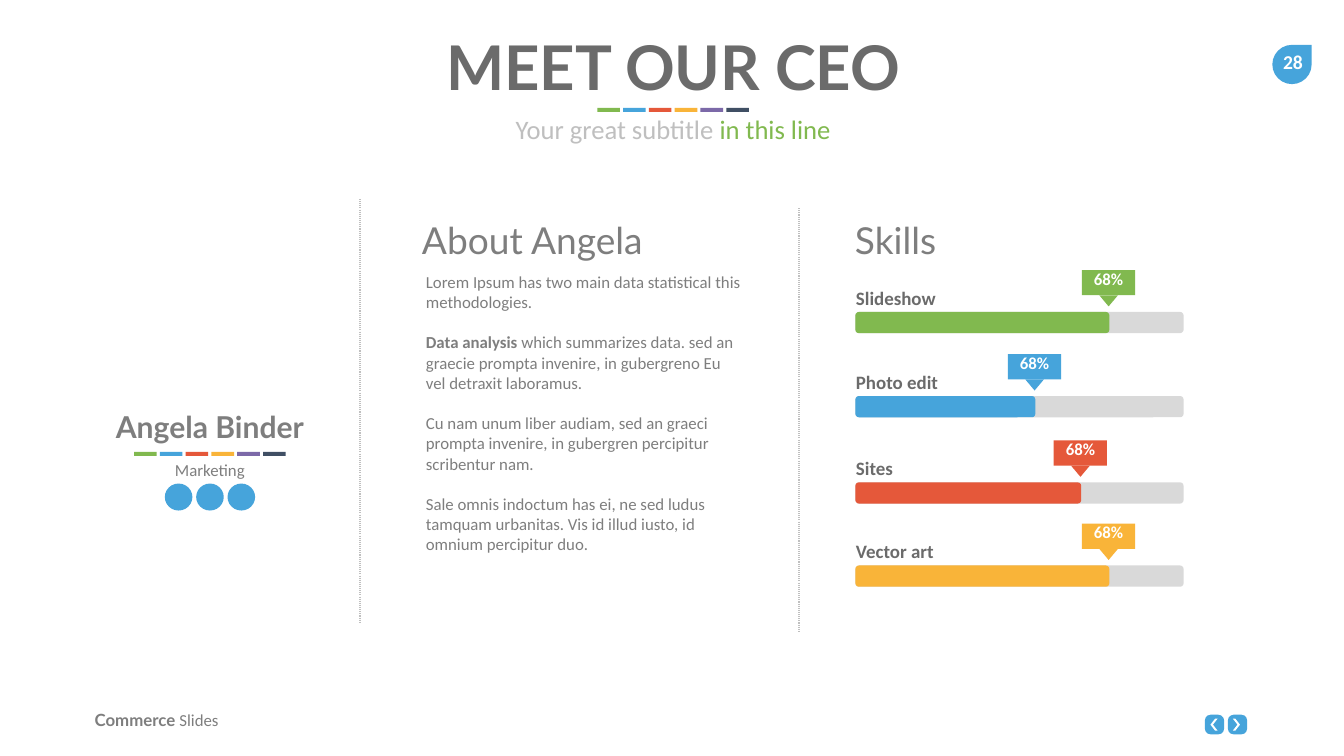
from collections import namedtuple

from lxml import etree
from pptx import Presentation
from pptx.dml.color import RGBColor
from pptx.enum.dml import MSO_LINE as Dash
from pptx.enum.shapes import MSO_CONNECTOR as Link, MSO_SHAPE as Shape
from pptx.enum.text import MSO_ANCHOR as Anchor, PP_ALIGN as Align
from pptx.oxml.ns import qn
from pptx.util import Cm, Pt

Box = namedtuple("Box", "left top width height")

COLORS = {
    "green": "81B94F", "blue": "46A4DB", "red": "E5583A", "yellow": "F9B439",
    "purple": "7C69A8", "navy": "404F64", "dark": "6B6B6B", "text": "7E7E7E",
    "pale": "BFBFBF", "track": "D9D9D9", "white": "FFFFFF",
}
STRIPE = ["green", "blue", "red", "yellow", "purple", "navy"]
SKILLS = [
    ("Slideshow", 15.72, 12.8, "green"),
    ("Photo edit", 19.96, 9.07, "blue"),
    ("Sites", 24.31, 11.38, "red"),
    ("Vector art", 28.5, 12.8, "yellow"),
]
ABOUT = [
    [("Lorem Ipsum has two main data statistical this methodologies.", {})],
    [("Data analysis ", {"bold": True}),
     ("which summarizes data. sed an graecie prompta invenire, "
      "in gubergreno Eu vel detraxit laboramus.", {})],
    [("Cu nam unum liber audiam, sed an graeci prompta invenire, "
      "in gubergren percipitur scribentur nam.", {})],
    [("Sale omnis indoctum has ei, ne sed ludus tamquam urbanitas. "
      "Vis id illud iusto, id omnium percipitur duo.", {})],
]
WIDE = {"margin_left": Cm(0.69), "margin_right": Cm(0.69),
        "margin_top": Cm(0.33), "margin_bottom": Cm(0.33)}


def apply(target, values):
    """Set every attribute in the dict on the target."""
    for name, value in values.items():
        setattr(target, name, value)


def rgb(name):
    """Return the named colour."""
    return RGBColor.from_string(COLORS[name])


def add_block(page, kind, box, color):
    """Add a filled preset shape without outline or shadow."""
    block = page.shapes.add_shape(kind, *map(Cm, box))
    block.shadow.inherit = False
    block.fill.solid()
    block.fill.fore_color.rgb = rgb(color)
    block.line.fill.background()
    return block


def add_text(page, box, paras, size, color="text", font="Calibri", bold=False,
             align=Align.LEFT, gap=0, frame=None):
    """Add a text box whose paragraphs are lists of (text, format) spans."""
    body = page.shapes.add_textbox(*map(Cm, box)).text_frame
    apply(body, {"word_wrap": True, **(frame or {})})
    for index, spans in enumerate(paras):
        para = body.add_paragraph() if index else body.paragraphs[0]
        para.alignment = align
        if index:
            para.space_before = Pt(gap)
        for text, changes in spans:
            span = para.add_run()
            span.text = text
            values = {"name": font, "size": Pt(size), "bold": bold, **changes}
            span.font.color.rgb = rgb(values.pop("color", color))
            apply(span.font, values)


def add_stripe(page, center, top):
    """Add the six-colour stripe centred on a position."""
    width, pitch = 1.14, 1.3
    left = center - (pitch * (len(STRIPE) - 1) + width) / 2
    for index, color in enumerate(STRIPE):
        add_block(page, Shape.RECTANGLE, Box(left + index * pitch, top, width, 0.2), color)


def add_heading(page, box):
    """Add the title, stripe and subtitle."""
    add_text(page, box._replace(height=4.01), [[("MEET OUR CEO", {})]], 88,
             "dark", "Lato", True, Align.CENTER)
    add_stripe(page, box.left + box.width / 2, box.top + 4.09)
    subtitle = [("Your great subtitle ", {}), ("in this line", {"color": "green"})]
    add_text(page, box._replace(top=box.top + 4.24, height=1.88), [subtitle], 38,
             "pale", align=Align.CENTER)


def add_page_number(page, box):
    """Add the page number on a teardrop."""
    add_block(page, Shape.TEAR, box, "blue")
    add_text(page, Box(box.left, box.top + 0.03, box.width + 0.1, 1.7), [[("28", {})]],
             28, "white", bold=True, align=Align.CENTER,
             frame={"word_wrap": False, "margin_top": Cm(0.25), "margin_bottom": Cm(0.25)})


def add_footer(page, box):
    """Add the deck name at the left and the arrow buttons at the right."""
    label = [("Commerce ", {"name": "Lato", "bold": True}), ("Slides", {})]
    add_text(page, Box(box.left, box.top, 10.16, box.height), [label], 24)
    right = box.left + box.width
    for offset, shift, turn in [(2.13, 0.28, 180), (0.97, 0.25, 0)]:
        button = Box(right - offset, box.top + 0.36, 0.97, 0.99)
        add_block(page, Shape.ROUNDED_RECTANGLE, button, "blue").adjustments[0] = 0.3
        arrow = add_block(page, Shape.CHEVRON,
                          Box(button.left + shift, button.top + 0.2, 0.36, 0.6), "white")
        arrow.adjustments[0] = 0.65
        arrow.rotation = turn


def add_divider(page, box):
    """Add a dotted vertical line."""
    line = page.shapes.add_connector(Link.STRAIGHT, Cm(box.left), Cm(box.top),
                                     Cm(box.left), Cm(box.top + box.height))
    etree.SubElement(line._element.spPr, qn("a:effectLst"))
    line.line.color.rgb = rgb("pale")
    apply(line.line, {"width": Pt(1.5), "dash_style": Dash.ROUND_DOT})


def add_profile(page, box):
    """Add the name, stripe, role and round contact marks."""
    center = box.left + box.width / 2
    add_text(page, box._replace(height=2.2), [[("Angela Binder", {})]], 43,
             font="Lato", bold=True, align=Align.CENTER)
    add_text(page, box._replace(top=box.top + 2.57, height=1.42), [[("Marketing", {})]],
             24, align=Align.CENTER)
    for index in range(3):
        left = center - 0.69 + (index - 1) * 1.58
        add_block(page, Shape.OVAL, Box(left, box.top + 3.9, 1.39, 1.36), "blue")
    add_stripe(page, center, box.top + 2.31)


def add_section_title(page, box, title):
    """Add a large section title."""
    add_text(page, box, [[(title, {})]], 53, font="Lato",
             frame={**WIDE, "vertical_anchor": Anchor.MIDDLE})


def add_about(page, box):
    """Add the section about the person."""
    add_section_title(page, box._replace(height=2.97), "About Angela")
    add_text(page, Box(box.left + 0.64, box.top + 2.97, 16.51, box.height - 2.97),
             ABOUT, 24, gap=29)


def add_callout(page, center, top, color):
    """Add a percentage flag pointing down."""
    add_block(page, Shape.RECTANGLE, Box(center - 1.35, top, 2.69, 1.27), color)
    pointer = add_block(page, Shape.ISOSCELES_TRIANGLE,
                        Box(center - 0.47, top + 1.27, 0.94, 0.56), color)
    pointer.rotation = 180
    add_text(page, Box(center - 0.99, top - 0.21, 1.98, 1.27), [[("68%", {})]], 24,
             "white", bold=True, align=Align.CENTER, frame={"word_wrap": False})


def add_skills(page, box):
    """Add the skills section with one labelled bar per skill."""
    add_section_title(page, box._replace(height=2.97), "Skills")
    left = box.left + 0.71
    for name, top, length, color in SKILLS:
        for width, shade in [(16.54, "track"), (length, color)]:
            add_block(page, Shape.ROUNDED_RECTANGLE, Box(left, top, width, 1.07), shade)
        add_text(page, Box(box.left + 0.05, top - 1.63, 8.23, 1.83), [[(name, {})]], 27,
                 "dark", bold=True, frame=WIDE)
        add_callout(page, left + length - 0.04, top - 2.11, color)


def main():
    """Build the slide and save it."""
    deck = Presentation()
    apply(deck, {"slide_width": Cm(67.72), "slide_height": Cm(38.1)})
    page = deck.slides.add_slide(deck.slide_layouts[6])
    add_page_number(page, Box(64.11, 2.26, 1.98, 1.98))
    add_footer(page, Box(4.52, 35.66, 58.32, 1.27))
    add_divider(page, Box(18.14, 10.03, 0, 21.31))
    add_divider(page, Box(40.26, 10.49, 0, 21.31))
    add_about(page, Box(20.57, 10.59, 18.67, 17.6))
    add_skills(page, Box(42.39, 10.59, 18.67, 19))
    add_profile(page, Box(5.51, 20.47, 10.13, 5.26))
    add_heading(page, Box(4.83, 1.35, 58.17, 6.12))
    deck.save("out.pptx")


if __name__ == "__main__":
    main()
